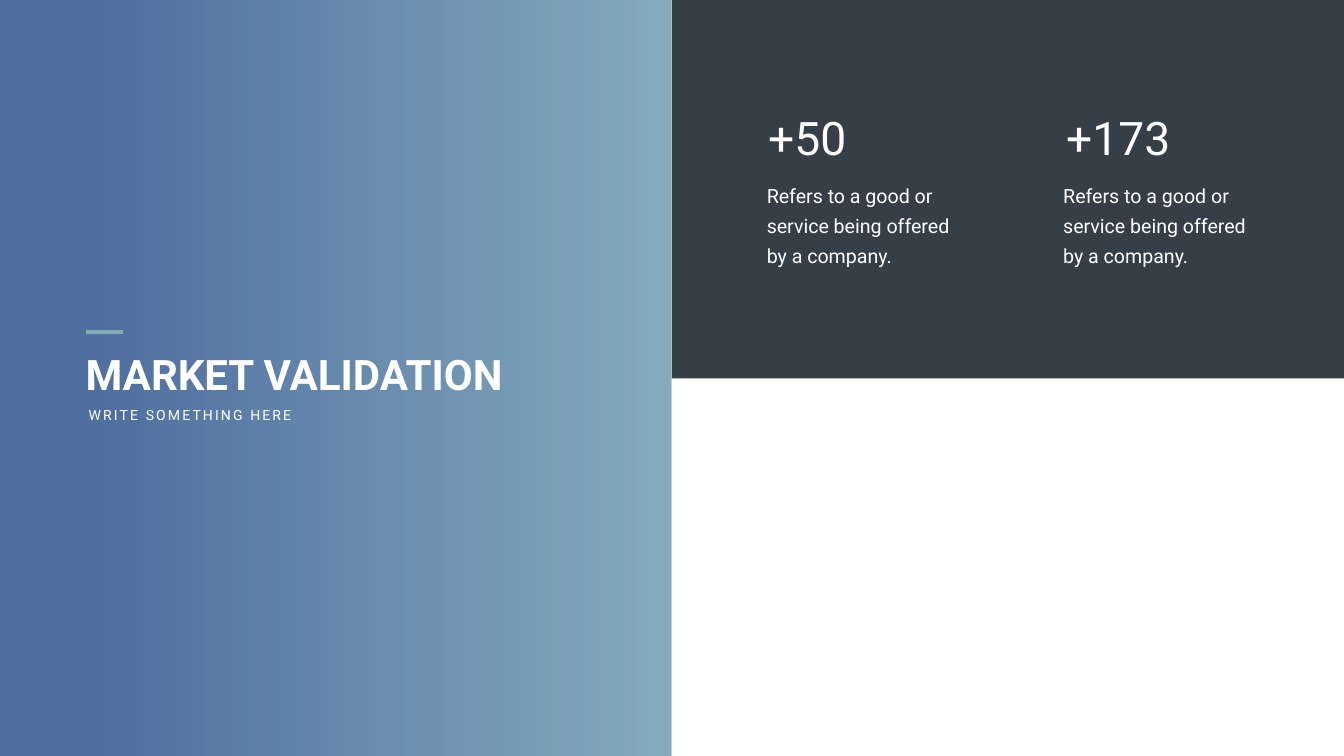
from lxml import etree
from pptx import Presentation
from pptx import util as u
from pptx.dml.color import RGBColor
from pptx.enum import shapes, text
from pptx.oxml import ns

COLORS = {
    "white": "FFFFFF",
    "slate": "363E48",
    "deep_blue": "264D89",
    "soft_blue": "6997AF",
    "accent": "84ACB6",
}


class Painter:
    font = "Roboto"

    def __init__(self, page):
        self.page = page

    def color(self, name):
        return RGBColor.from_string(COLORS[name])

    def shape(self, left, top, width, height):
        block = self.page.shapes.add_shape(
            shapes.MSO_SHAPE.RECTANGLE, *map(u.Inches, (left, top, width, height)))
        block.shadow.inherit = False
        block.line.fill.background()
        return block

    def block(self, left, top, width, height, color):
        block = self.shape(left, top, width, height)
        block.fill.solid()
        block.fill.fore_color.rgb = self.color(color)

    def gradient(self, left, top, width, height, stops, opacity):
        block = self.shape(left, top, width, height)
        block.fill.gradient()
        block.fill.gradient_angle = 0
        for stop, (position, color) in zip(block.fill.gradient_stops, stops):
            stop.position = position
            stop.color.rgb = self.color(color)
        for color in block._element.xpath(".//a:gsLst//a:srgbClr"):
            etree.SubElement(color, ns.qn("a:alpha"), val=str(opacity * 1000))

    def label(self, left, top, width, height, words, size, bold=False,
              wrap=False, insets=(0.1, 0.05), line=None, tracking=None):
        box = self.page.shapes.add_textbox(
            *map(u.Inches, (left, top, width, height)))
        frame = box.text_frame
        frame.word_wrap = wrap
        frame.auto_size = text.MSO_AUTO_SIZE.SHAPE_TO_FIT_TEXT
        frame.margin_left = frame.margin_right = u.Inches(insets[0])
        frame.margin_top = frame.margin_bottom = u.Inches(insets[1])
        para = frame.paragraphs[0]
        span = para.add_run()
        span.text = words
        para.font.name = self.font
        para.font.size = u.Pt(size)
        para.font.bold = bold
        para.font.color.rgb = self.color("white")
        if line:
            para.line_spacing = u.Pt(line)
        if tracking:
            span._r.get_or_add_rPr().set("spc", str(tracking * 100))


def main():
    deck = Presentation()
    deck.slide_width, deck.slide_height = u.Inches(26.66), u.Inches(15)
    page = deck.slides.add_slide(deck.slide_layouts[6])
    painter = Painter(page)
    half = 13.33

    painter.gradient(0, 0, half, 15, [(0.15, "deep_blue"), (1, "soft_blue")], 80)
    painter.block(half, -0.01, half, 7.52, "slate")

    painter.label(1.6, 6.86, 8.78, 1.11, "MARKET VALIDATION", 60, bold=True, wrap=True)
    painter.label(1.66, 8.01, 4.35, 0.44, "WRITE SOMETHING HERE", 20, tracking=3)
    painter.block(1.71, 6.55, 0.73, 0.08, "accent")

    description = "Refers to a good or service being offered by a company."
    metrics = [("+50", 14.97, 15.14, 1.77), ("+173", 20.85, 21.05, 2.29)]
    for figure, text_left, figure_left, figure_width in metrics:
        painter.label(text_left, 3.39, 4.17, 2, description, 28, wrap=True,
                      insets=(0.24, 0.12), line=43)
        painter.label(figure_left, 2.12, figure_width, 1.21, figure, 66)

    deck.save("out.pptx")


if __name__ == "__main__":
    main()
